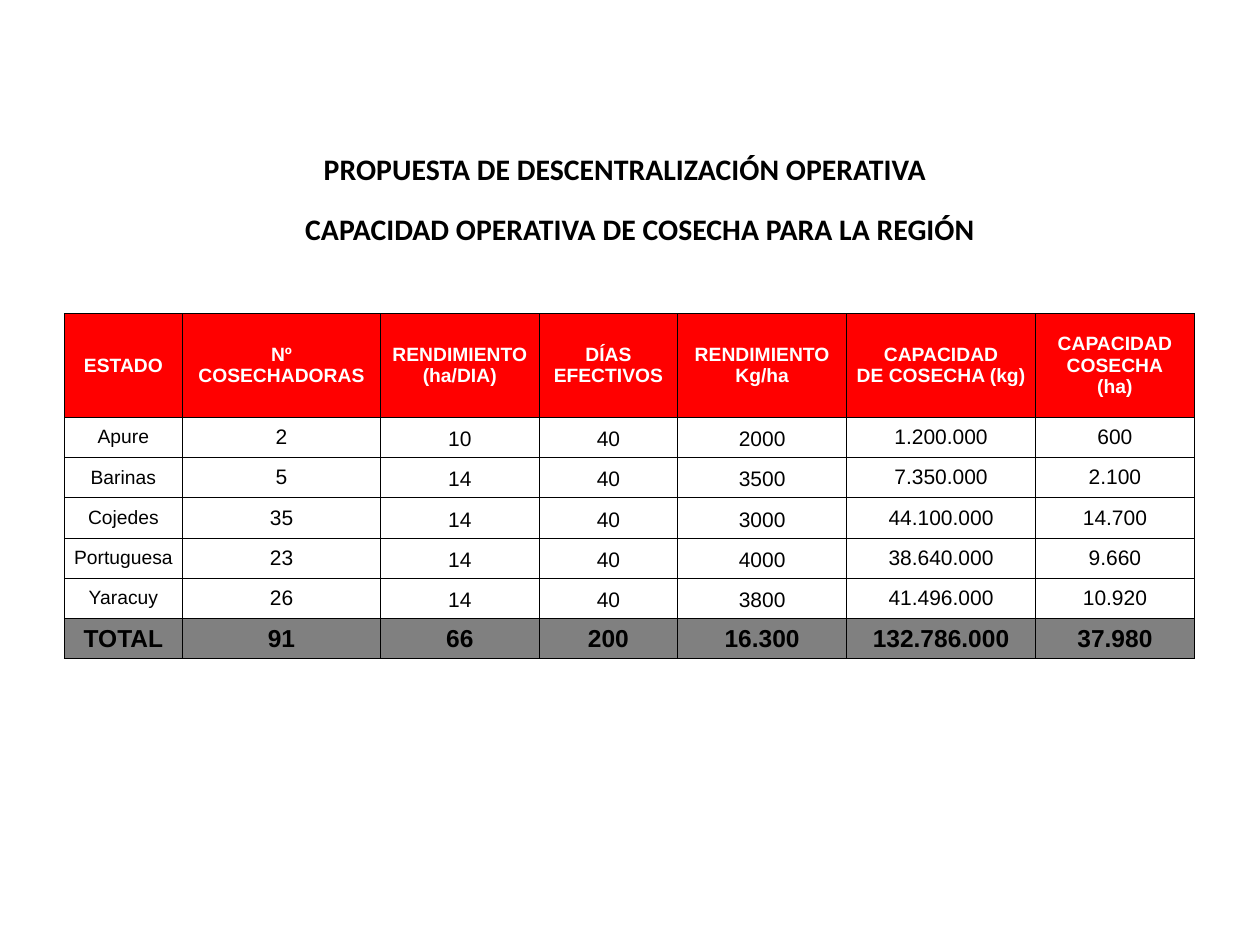
from lxml import etree
from pptx import Presentation
from pptx.dml.color import RGBColor
from pptx.enum.text import MSO_ANCHOR, MSO_AUTO_SIZE, PP_ALIGN
from pptx.oxml import parse_xml
from pptx.oxml.ns import nsdecls
from pptx.util import Inches, Pt

BLACK = RGBColor(0x00, 0x00, 0x00)
WHITE = RGBColor(0xFF, 0xFF, 0xFF)
RED = RGBColor(0xFF, 0x00, 0x00)
GRAY = RGBColor(0x80, 0x80, 0x80)
MIDDLE, BOTTOM, TOP = MSO_ANCHOR.MIDDLE, MSO_ANCHOR.BOTTOM, MSO_ANCHOR.TOP
CENTER = PP_ALIGN.CENTER
NO_AUTOFIT = MSO_AUTO_SIZE.NONE
TITLE_ONLY = 5

TITLE = "PROPUESTA DE DESCENTRALIZACIÓN OPERATIVA"
SUBTITLE = "CAPACIDAD OPERATIVA DE COSECHA PARA LA REGIÓN"
HEADERS = [
    "ESTADO", "Nº\nCOSECHADORAS", "RENDIMIENTO\n(ha/DIA)", "DÍAS\nEFECTIVOS",
    "RENDIMIENTO\nKg/ha", "CAPACIDAD\nDE COSECHA (kg)", "CAPACIDAD\nCOSECHA\n(ha)",
]
STATES = [
    ["Apure", "2", "10", "40", "2000", "1.200.000", "600"],
    ["Barinas", "5", "14", "40", "3500", "7.350.000", "2.100"],
    ["Cojedes", "35", "14", "40", "3000", "44.100.000", "14.700"],
    ["Portuguesa", "23", "14", "40", "4000", "38.640.000", "9.660"],
    ["Yaracuy", "26", "14", "40", "3800", "41.496.000", "10.920"],
]
TOTALS = ["TOTAL", "91", "66", "200", "16.300", "132.786.000", "37.980"]
COLUMN_WIDTHS = [0.94, 1.57, 1.26, 1.1, 1.34, 1.5, 1.26]
ROW_HEIGHTS = [0.82] + [0.32] * len(STATES) + [0.26]
BOTTOM_COLUMNS = (2, 3, 4)


def format_text(frame, font_name, size, color, bold):
    for para in frame.paragraphs:
        para.alignment = CENTER
        for span in para.runs:
            span.font.name = font_name
            span.font.size = Pt(size)
            span.font.color.rgb = color
            span.font.bold = bold


def place_heading(shape, text, left, top, width, height):
    shape.left, shape.top = Inches(left), Inches(top)
    shape.width, shape.height = Inches(width), Inches(height)
    frame = shape.text_frame
    frame.text = text
    frame.word_wrap = True
    frame.auto_size = NO_AUTOFIT
    frame.vertical_anchor = TOP
    format_text(frame, "Calibri", 17, BLACK, True)


def add_borders(cell, color, width):
    properties = cell._tc.get_or_add_tcPr()
    for index, side in enumerate(("lnL", "lnR", "lnT", "lnB")):
        line = parse_xml(f'<a:{side} {nsdecls("a")} w="{Pt(width)}"/>')
        fill = etree.SubElement(line, line.tag.replace(side, "solidFill"))
        etree.SubElement(fill, line.tag.replace(side, "srgbClr"), val=str(color))
        properties.insert(index, line)


def fill_cell(cell, text, size, color, bold, fill, anchor):
    cell.text = text
    cell.margin_left = cell.margin_right = Inches(0.06)
    cell.margin_top = cell.margin_bottom = Inches(0.05)
    cell.vertical_anchor = anchor
    if fill is None:
        cell.fill.background()
    else:
        cell.fill.solid()
        cell.fill.fore_color.rgb = fill
    format_text(cell.text_frame, "Arial", size, color, bold)
    add_borders(cell, BLACK, 0.45)


def add_harvest_table(page, left, top):
    rows = [HEADERS, *STATES, TOTALS]
    table = page.shapes.add_table(
        len(rows), len(HEADERS), Inches(left), Inches(top),
        Inches(sum(COLUMN_WIDTHS)), Inches(sum(ROW_HEIGHTS)),
    ).table
    table.horz_banding = False
    for column, width in zip(table.columns, COLUMN_WIDTHS):
        column.width = Inches(width)
    for row, height in zip(table.rows, ROW_HEIGHTS):
        row.height = Inches(height)

    for column, text in enumerate(HEADERS):
        fill_cell(table.cell(0, column), text, 11, WHITE, True, RED, MIDDLE)
    for row, values in enumerate(STATES, start=1):
        for column, text in enumerate(values):
            size = 11 if column == 0 else 12
            anchor = BOTTOM if column in BOTTOM_COLUMNS else MIDDLE
            fill_cell(table.cell(row, column), text, size, BLACK, False, None, anchor)
    for column, text in enumerate(TOTALS):
        fill_cell(table.cell(len(rows) - 1, column), text, 14, BLACK, True, GRAY, MIDDLE)


def main():
    deck = Presentation()
    deck.slide_width, deck.slide_height = Inches(10), Inches(7.5)
    page = deck.slides.add_slide(deck.slide_layouts[TITLE_ONLY])
    place_heading(page.shapes.title, TITLE, 1.77, 1.15, 6.38, 0.39)
    subtitle = page.shapes.add_textbox(0, 0, 0, 0)
    place_heading(subtitle, SUBTITLE, 1.3, 1.62, 7.56, 0.39)
    add_harvest_table(page, 0.51, 2.49)
    deck.save("out.pptx")


if __name__ == "__main__":
    main()
